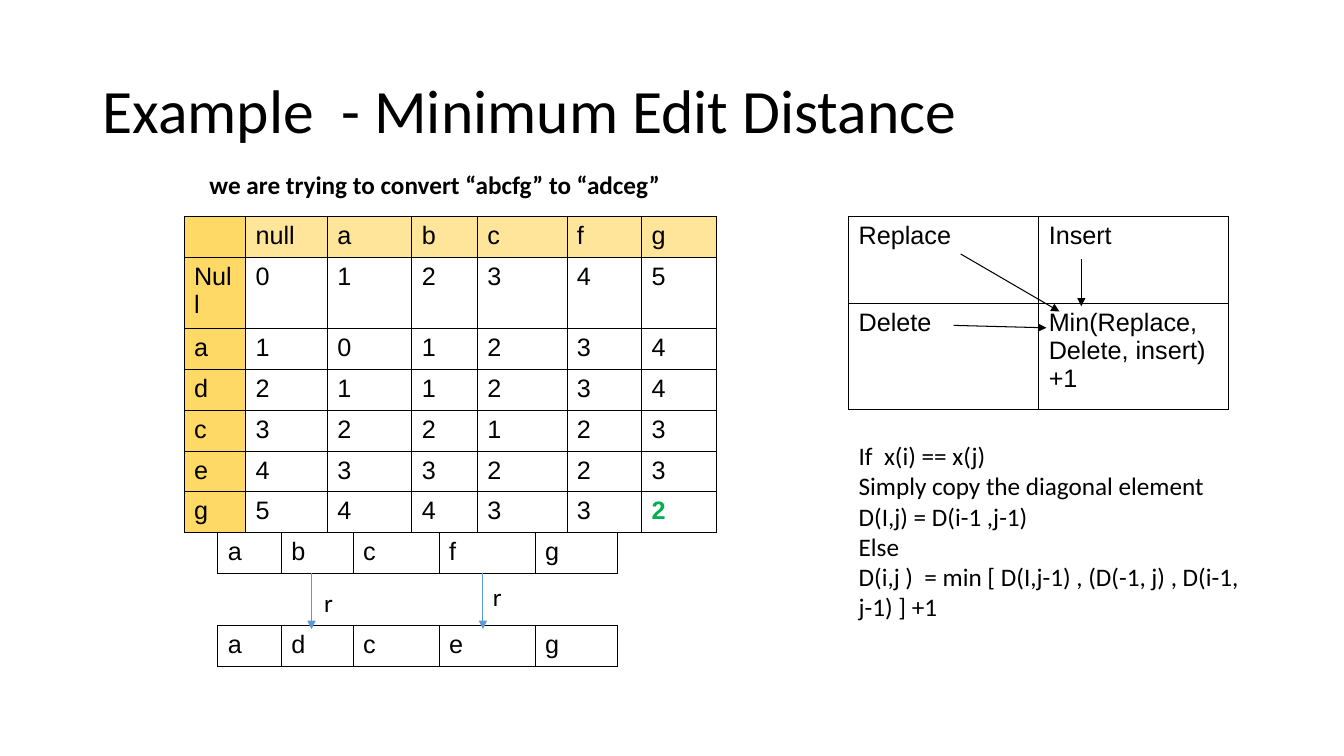
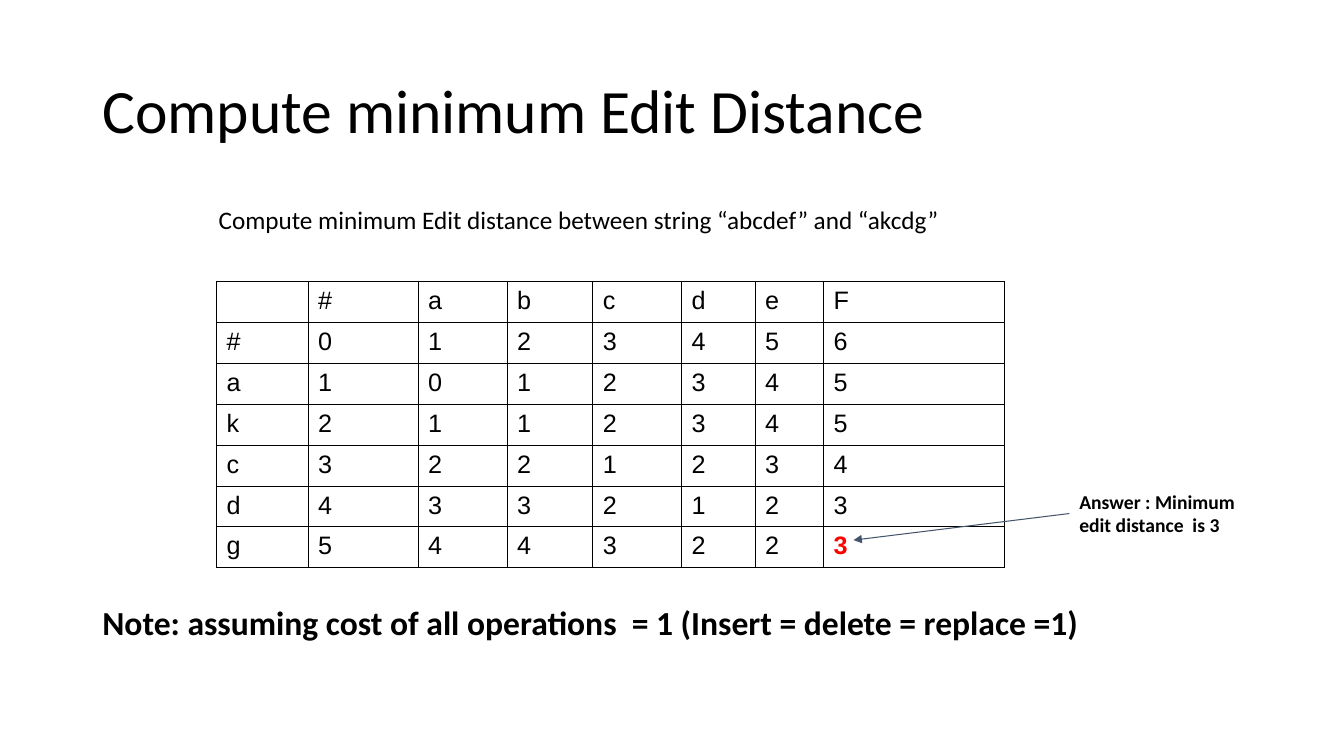
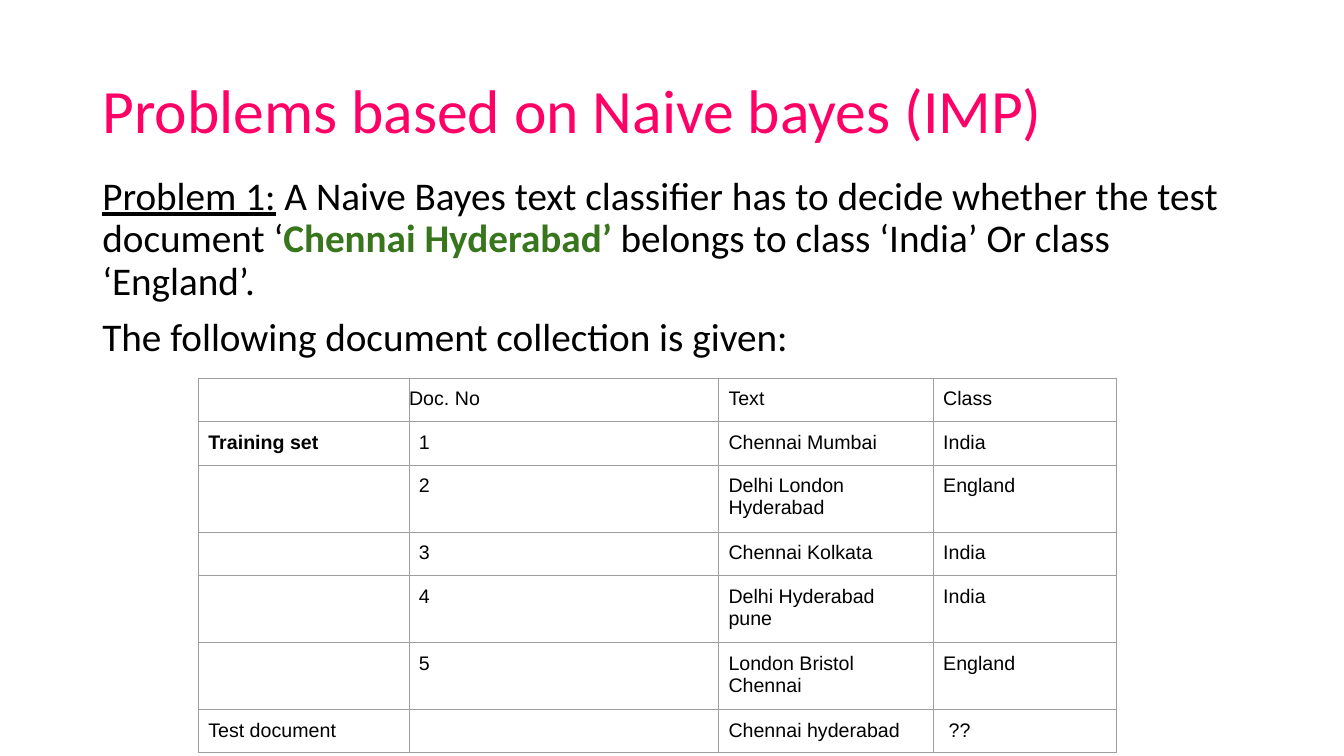
"""Build three slides on edit distance and Naive Bayes."""
from dataclasses import dataclass
from itertools import product
from lxml.etree import SubElement
from pptx import Presentation
from pptx.dml.color import RGBColor as Rgb
from pptx.enum.shapes import MSO_CONNECTOR as Link
from pptx.enum.text import MSO_ANCHOR as Anchor, MSO_AUTO_SIZE as Fit, PP_ALIGN as Align
from pptx.oxml.ns import qn
from pptx.util import Cm, Pt


@dataclass(frozen=True)
class Theme:
    """Hold colours, fonts, sizes and shared measures."""
    ink: str = "000000"
    pink: str = "FF0066"
    leaf: str = "38761D"
    green: str = "00B050"
    red: str = "FF0000"
    gold: str = "FFD966"
    cream: str = "FEE599"
    blue: str = "5B9BD5"
    slate: str = "44546A"
    gray: str = "9E9E9E"
    body: str = "Calibri"
    data: str = "Arial"
    head: int = 44
    lead: int = 28
    note: int = 24
    text: int = 18
    small: int = 14
    line: float = 0.75
    row: float = 1.03
    pad: float = 0.25
    slim: float = 0.13
    title: tuple = (2.33, 1.01, 29.21, 3.68)


T = Theme()

COST = ["|null|a|b|c|f|g", "Null|0|1|2|3|4|5", "a|1|0|1|2|3|4", "d|2|1|1|2|3|4",
        "c|3|2|2|1|2|3", "e|4|3|3|2|2|3", "g|5|4|4|3|3|2"]
COST_COLS = [1.55, 2.06, 2.13, 1.65, 2.26, 1.88, 1.88]
RULE = ["Replace|Insert", "Delete|Min(Replace, Delete, insert) +1"]
STEPS = ["If  x(i) == x(j)", "Simply copy the diagonal element", "D(I,j) = D(i-1 ,j-1)",
         "Else", "D(i,j )  = min [ D(I,j-1) , (D(-1, j) , D(i-1, j-1) ] +1"]
WORDS = [("a|b|c|f|g", 13.42), ("a|d|c|e|g", 15.77)]
WORD_COLS = [1.6, 1.81, 2.17, 2.42, 2.07]
SWAPS = [(7.85, 7.92, 14.66), (12.17, 12.17, 14.53)]
FLOWS = [(27.25, 6.53, 27.25, 7.72), (24.03, 8.2, 26.37, 8.26), (24.21, 6.4, 26.7, 7.85)]

TASK = ["|#|a|b|c|d|e|F", "#|0|1|2|3|4|5|6", "a|1|0|1|2|3|4|5", "k|2|1|1|2|3|4|5",
        "c|3|2|2|1|2|3|4", "d|4|3|3|2|1|2|3", "g|5|4|4|3|2|2|3"]
TASK_COLS = [2.31, 2.77, 2.24, 2.16, 2.24, 1.85, 1.73, 4.55]

BAYES = [[("Problem 1:", {"underline": True}),
          (" A Naive Bayes text classifier has to decide whether the test document ‘", {}),
          ("Chennai Hyderabad’", {"bold": True, "color": T.leaf}),
          (" belongs to class ‘India’ Or class ‘England’.", {})],
         "The following document collection is given:"]
DOCS = ["|Doc. No|Text|Class", "Training set|1|Chennai Mumbai|India",
        "|2|Delhi London Hyderabad|England", "|3|Chennai Kolkata|India",
        "|4|Delhi Hyderabad pune|India", "|5|London Bristol Chennai|England",
        "Test document||Chennai hyderabad| ??"]
DOC_COLS = [5.31, 7.8, 5.41, 4.62]


def style(font, form):
    """Set font values from a dict."""
    for key, val in form.items():
        if key == "color":
            font.color.rgb = Rgb.from_string(val)
        else:
            setattr(font, key, Pt(val) if key == "size" else val)


def inset(item, side, top):
    """Set the margins of a cell or text frame."""
    for edge, val in zip(("left", "right", "top", "bottom"), (side, side, top, top)):
        setattr(item, f"margin_{edge}", Cm(val))


def write(frame, paras, form, lead=None, gap=0):
    """Fill a frame with paragraphs of styled runs."""
    form = {"name": T.body, "size": T.text, "color": T.ink} | form
    for num, runs in enumerate(paras):
        para = frame.add_paragraph() if num else frame.paragraphs[0]
        para.alignment = Align.LEFT
        if lead:
            para.line_spacing = lead
        if num and gap:
            para.space_before = Pt(gap)
        for text, more in [(runs, {})] if isinstance(runs, str) else runs:
            if text:
                run = para.add_run()
                run.text = text
                style(run.font, form | more)
        SubElement(para._p, qn("a:endParaRPr"), sz=str(form["size"] * 100))


def label(slide, box, paras, top=T.slim, lead=None, gap=0, **form):
    """Add a wrapped text box."""
    shape = slide.shapes.add_textbox(*map(Cm, box))
    frame = shape.text_frame
    frame.word_wrap = True
    inset(frame, T.pad, top)
    write(frame, paras, form, lead, gap)
    return shape


def border(cell, color):
    """Draw all four cell borders."""
    prop = cell._tc.get_or_add_tcPr()
    for side in "LRTB":
        line = SubElement(prop, qn(f"a:ln{side}"), w=str(Pt(T.line)))
        fill = SubElement(line, qn("a:solidFill"))
        SubElement(fill, qn("a:srgbClr"), val=color)


def grid(slide, left, top, cols, lines, rows=None, top_pad=T.slim, edge=T.ink,
         fills=None, marks=None, **form):
    """Add a plain bordered table."""
    rows = rows or [T.row] * len(lines)
    table = slide.shapes.add_table(len(rows), len(cols), Cm(left), Cm(top),
                                   Cm(sum(cols)), Cm(sum(rows))).table
    table.first_row = table.horz_banding = False
    for col, size in zip(table.columns, cols):
        col.width = Cm(size)
    for row, size in zip(table.rows, rows):
        row.height = Cm(size)
    data = [line.split("|") for line in lines]
    for r, c in product(range(len(rows)), range(len(cols))):
        cell = table.cell(r, c)
        inset(cell, T.pad, top_pad)
        border(cell, edge)
        fill = fills(r, c) if fills else None
        if fill:
            cell.fill.solid()
            cell.fill.fore_color.rgb = Rgb.from_string(fill)
        else:
            cell.fill.background()
        more = (marks or {}).get((r, c), {})
        write(cell.text_frame, [data[r][c]], {"name": T.data} | form | more)
    return table


def arrow(slide, ends, color=T.ink):
    """Add a straight arrow."""
    line = slide.shapes.add_connector(Link.STRAIGHT, *map(Cm, ends))
    line.line.color.rgb = Rgb.from_string(color)
    line.line.width = Pt(T.line)
    SubElement(line.line._get_or_add_ln(), qn("a:tailEnd"), type="triangle")
    SubElement(line._element.spPr, qn("a:effectLst"))
    return line


def start(deck, text, color=T.ink):
    """Add a slide with a formatted title."""
    slide = deck.slides.add_slide(deck.slide_layouts[5])
    title = slide.shapes.title
    for key, val in zip(("left", "top", "width", "height"), T.title):
        setattr(title, key, Cm(val))
    frame = title.text_frame
    for key, val in {"word_wrap": True, "auto_size": Fit.NONE,
                     "vertical_anchor": Anchor.MIDDLE}.items():
        setattr(frame, key, val)
    inset(frame, T.pad, T.slim)
    write(frame, [text], {"size": T.head, "color": color}, 0.9)
    return slide


def shade(r, c):
    """Pick the header fill of a cost cell."""
    return T.gold if c == 0 else T.cream if r == 0 else None


def example(deck):
    """Show the worked edit distance."""
    slide = start(deck, "Example  - Minimum Edit Distance")
    label(slide, (5.03, 4.01, 20.73, 1.27), ["we are trying to convert “abcfg” to “adceg”"],
          top=T.pad, bold=True)
    grid(slide, 4.64, 5.46, COST_COLS, COST, fills=shade,
         marks={(6, 6): {"bold": True, "color": T.green}})
    grid(slide, 21.39, 5.46, [4.79] * 2, RULE, rows=[2.18, 2.69])
    label(slide, (21.39, 10.97, 11, 4.88), STEPS)
    for word, top in WORDS:
        grid(slide, 5.49, top, WORD_COLS, [word])
    for mid, left, top in SWAPS:
        arrow(slide, (mid, 14.43, mid, 15.85), T.blue)
        label(slide, (left, top, 1.09, 1.02), ["r"])
    for ends in FLOWS:
        arrow(slide, ends)


def compute(deck):
    """Show the exercise and its answer."""
    slide = start(deck, "Compute minimum Edit Distance")
    grid(slide, 5.46, 7.09, TASK_COLS, TASK,
         marks={(6, 7): {"bold": True, "color": T.red}})
    label(slide, (5.26, 5.03, 21.39, 1.02),
          ["Compute minimum Edit distance between string “abcdef” and “akcdg”"])
    label(slide, (2.33, 15.04, 27.46, 1.27),
          ["Note: assuming cost of all operations  = 1 (Insert = delete = replace =1)"],
          size=T.note, bold=True)
    answer = label(slide, (26.95, 12.09, 5.31, 1.7), ["Answer : Minimum edit distance  is 3"],
                   top=T.pad, size=T.small, bold=True)
    arrow(slide, (26.95, 12.94, 21.51, 13.61), T.slate).begin_connect(answer, 1)


def bayes(deck):
    """Show the Naive Bayes problem."""
    slide = start(deck, "Problems based on Naive bayes (IMP)", T.pink)
    label(slide, (2.33, 4.32, 29.21, 12.09), BAYES, lead=0.9, gap=10, size=T.lead)
    table = grid(slide, 5, 9.53, DOC_COLS, DOCS, top_pad=T.pad, edge=T.gray,
                 marks={(1, 0): {"bold": True}}, size=T.small)
    head = table.cell(0, 1)
    head.margin_left, head.margin_right = Cm(0), Cm(4.5)


def main():
    """Build and save the deck."""
    deck = Presentation()
    deck.slide_width, deck.slide_height = Cm(33.87), Cm(19.05)
    for build in (example, compute, bayes):
        build(deck)
    deck.save("out.pptx")


if __name__ == "__main__":
    main()
